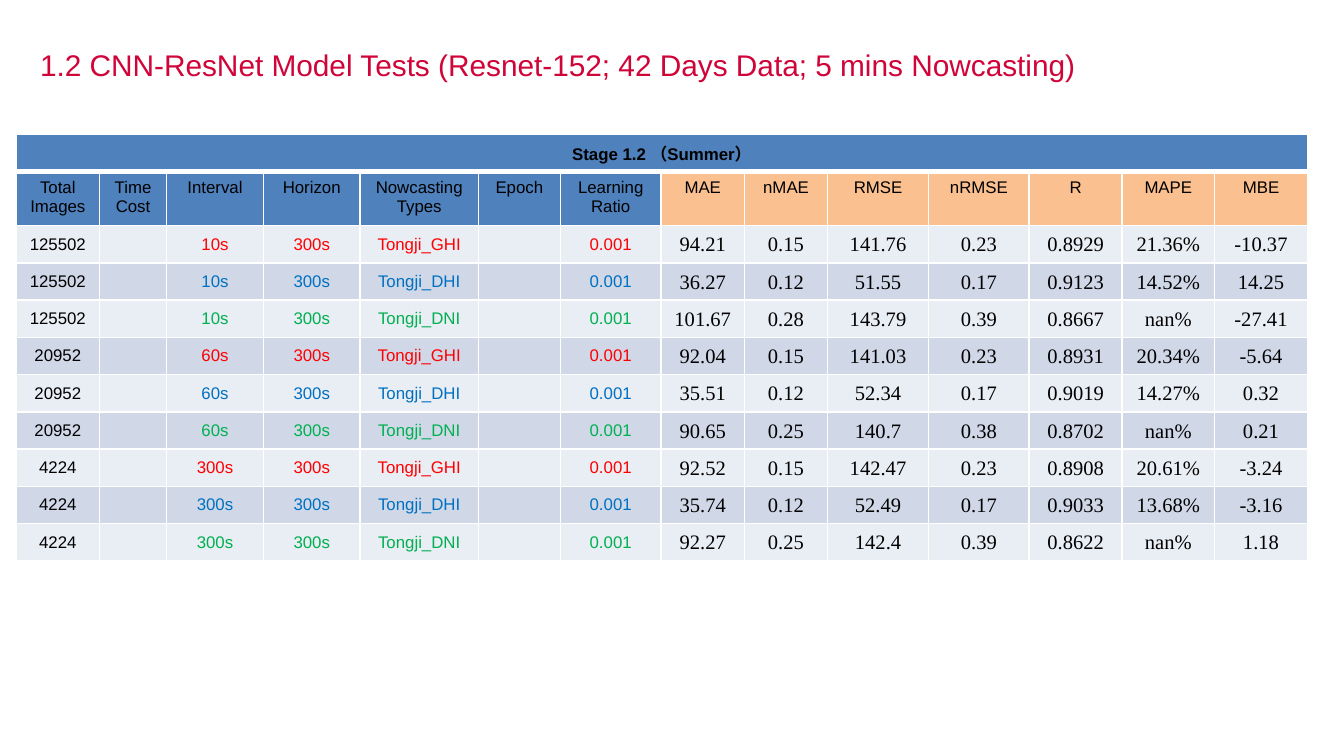
from dataclasses import dataclass

from lxml import etree
from pptx import Presentation
from pptx import util as u
from pptx.dml.color import RGBColor
from pptx.enum import text
from pptx.oxml.ns import qn

WHITE = RGBColor(0xFF, 0xFF, 0xFF)
BLACK = RGBColor(0x00, 0x00, 0x00)
CRIMSON = RGBColor(0xD0, 0x04, 0x39)
RED = RGBColor(0xFF, 0x00, 0x00)
BLUE = RGBColor(0x00, 0x70, 0xC0)
GREEN = RGBColor(0x00, 0xB0, 0x50)
HEADER_BLUE = RGBColor(0x4F, 0x81, 0xBD)
HEADER_ORANGE = RGBColor(0xFA, 0xC0, 0x90)
BANDS = (RGBColor(0xE9, 0xED, 0xF4), RGBColor(0xD0, 0xD8, 0xE8))

SLIDE_WIDTH = u.Inches(10)
SLIDE_HEIGHT = u.Emu(SLIDE_WIDTH * 9 // 16)
TABLE_LEFT, TABLE_TOP, TABLE_HEIGHT = u.Inches(0.12), u.Inches(1), u.Inches(3.05)
HEADER_ROWS = 2


@dataclass(frozen=True)
class Column:
    heading: str
    width: float
    is_metric: bool = False


@dataclass(frozen=True)
class Style:
    size: int = 9
    font: str = "Arial"
    color: RGBColor = BLACK
    bold: bool = False
    tight: bool = False


@dataclass(frozen=True)
class Dataset:
    images: str
    interval: str
    results: tuple[str, str, str]


METRIC_STYLE = Style(size=11, font="Times New Roman", tight=True)
TARGETS = (("Tongji_GHI", RED), ("Tongji_DHI", BLUE), ("Tongji_DNI", GREEN))
COLUMNS = (
    Column("Total\nImages", 0.62),
    Column("Time Cost", 0.5),
    Column("Interval", 0.72),
    Column("Horizon", 0.72),
    Column("Nowcasting\nTypes", 0.88),
    Column("Epoch", 0.61),
    Column("Learning Ratio", 0.75),
    Column("MAE", 0.62, True),
    Column("nMAE", 0.62, True),
    Column("RMSE", 0.75, True),
    Column("nRMSE", 0.75, True),
    Column("R", 0.69, True),
    Column("MAPE", 0.69, True),
    Column("MBE", 0.69, True),
)
DATASETS = (
    Dataset("125502", "10s", (
        "94.21 0.15 141.76 0.23 0.8929 21.36% -10.37",
        "36.27 0.12 51.55 0.17 0.9123 14.52% 14.25",
        "101.67 0.28 143.79 0.39 0.8667 nan% -27.41",
    )),
    Dataset("20952", "60s", (
        "92.04 0.15 141.03 0.23 0.8931 20.34% -5.64",
        "35.51 0.12 52.34 0.17 0.9019 14.27% 0.32",
        "90.65 0.25 140.7 0.38 0.8702 nan% 0.21",
    )),
    Dataset("4224", "300s", (
        "92.52 0.15 142.47 0.23 0.8908 20.61% -3.24",
        "35.74 0.12 52.49 0.17 0.9033 13.68% -3.16",
        "92.27 0.25 142.4 0.39 0.8622 nan% 1.18",
    )),
)


def style_paragraph(paragraph, style: Style) -> None:
    font = paragraph.font
    font.size, font.name, font.bold = u.Pt(style.size), style.font, style.bold
    font.color.rgb = style.color


def set_borders(cell, bottom: float) -> None:
    properties = cell._tc.get_or_add_tcPr()
    widths = {"a:lnL": 1, "a:lnR": 1, "a:lnT": 1, "a:lnB": bottom}
    for index, (tag, width) in enumerate(widths.items()):
        line = etree.Element(qn(tag), w=str(int(u.Pt(width))))
        fill = etree.SubElement(line, qn("a:solidFill"))
        etree.SubElement(fill, qn("a:srgbClr"), val=str(WHITE))
        properties.insert(index, line)


def fill_cell(cell, content: str, fill: RGBColor, style: Style,
              anchor=text.MSO_ANCHOR.MIDDLE, bottom: float = 1) -> None:
    cell.text = content
    cell.vertical_anchor = anchor
    cell.fill.solid()
    cell.fill.fore_color.rgb = fill
    set_borders(cell, bottom)
    if style.tight:
        cell.margin_left = cell.margin_right = cell.margin_top = u.Inches(0.01)
        cell.margin_bottom = 0
    for paragraph in cell.text_frame.paragraphs:
        paragraph.alignment = text.PP_ALIGN.CENTER
        style_paragraph(paragraph, style)
        if not content:
            etree.SubElement(paragraph._p, qn("a:endParaRPr"), sz=str(style.size * 100))


def add_title(slide, content: str) -> None:
    box = slide.shapes.add_textbox(u.Inches(0.2), u.Inches(0.3), u.Inches(8.03), u.Inches(0.46))
    box.text_frame.word_wrap = True
    box.text_frame.text = content
    style_paragraph(box.text_frame.paragraphs[0], Style(size=16, color=CRIMSON))


def add_results_table(slide) -> None:
    row_count = HEADER_ROWS + len(DATASETS) * len(TARGETS)
    width = u.Inches(sum(column.width for column in COLUMNS))
    table = slide.shapes.add_table(
        row_count, len(COLUMNS), TABLE_LEFT, TABLE_TOP, width, TABLE_HEIGHT).table

    table.cell(0, 0).merge(table.cell(0, len(COLUMNS) - 1))
    for index, column in enumerate(COLUMNS):
        table.columns[index].width = u.Inches(column.width)
        banner = "" if index else "Stage 1.2 （Summer）"
        fill_cell(table.cell(0, index), banner, HEADER_BLUE, Style(bold=True),
                  text.MSO_ANCHOR.TOP, bottom=3)
        fill = HEADER_ORANGE if column.is_metric else HEADER_BLUE
        fill_cell(table.cell(1, index), column.heading, fill, Style(), text.MSO_ANCHOR.TOP)

    tests = [(dataset, target, result) for dataset in DATASETS
             for target, result in zip(TARGETS, dataset.results)]
    for index, (dataset, (target, color), result) in enumerate(tests):
        values = [dataset.images, "", dataset.interval, "300s", target, "", "0.001",
                  *result.split()]
        for position, (column, value) in enumerate(zip(COLUMNS, values)):
            setting_style = Style(color=color if position else BLACK)
            style = METRIC_STYLE if column.is_metric else setting_style
            cell = table.cell(index + HEADER_ROWS, position)
            fill_cell(cell, value, BANDS[index % len(BANDS)], style)


def main() -> None:
    presentation = Presentation()
    presentation.slide_width, presentation.slide_height = SLIDE_WIDTH, SLIDE_HEIGHT
    slide = presentation.slides.add_slide(presentation.slide_layouts[6])
    add_title(slide, "1.2 CNN-ResNet Model Tests (Resnet-152; 42 Days Data; 5 mins Nowcasting)")
    add_results_table(slide)
    presentation.save("out.pptx")


if __name__ == "__main__":
    main()
